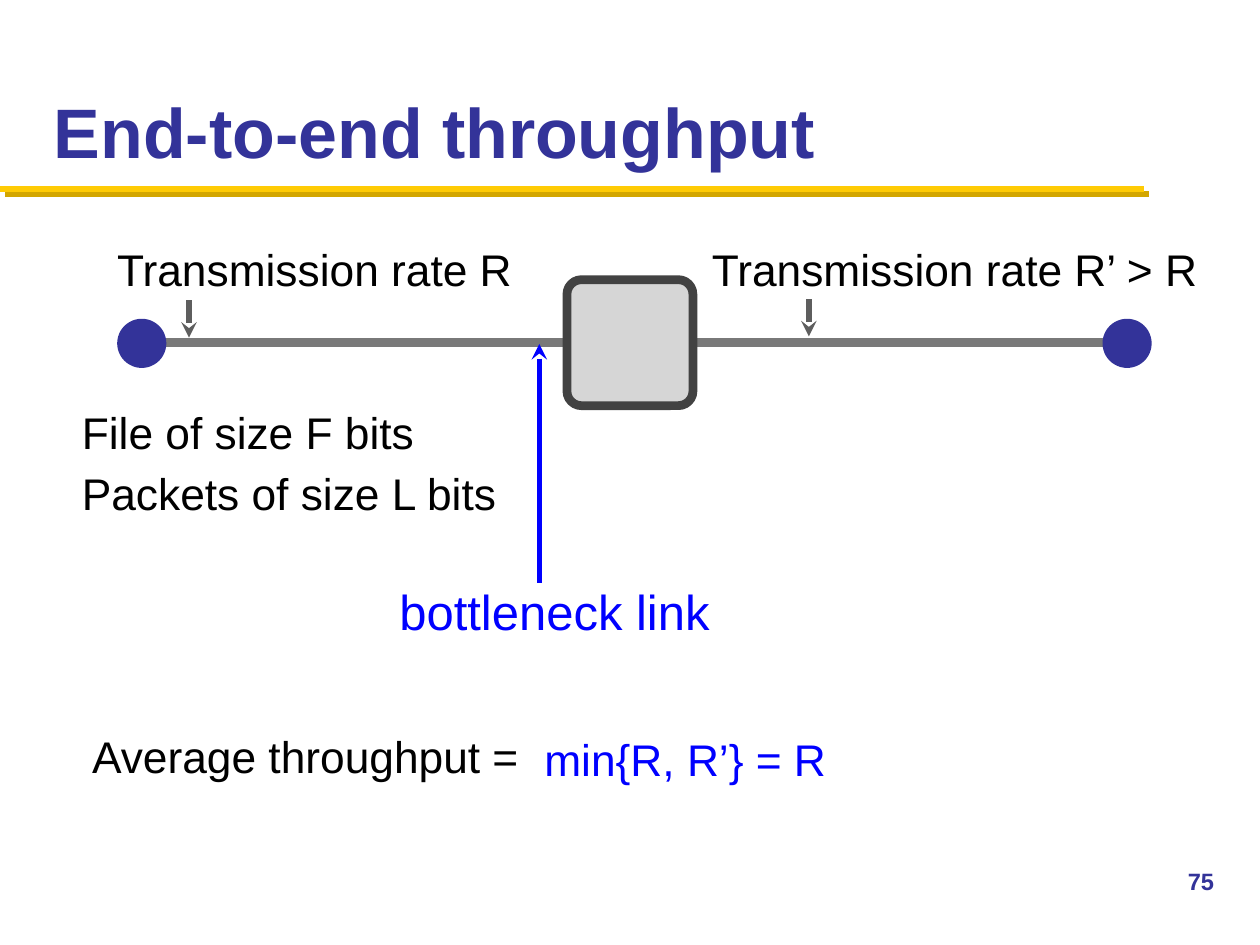
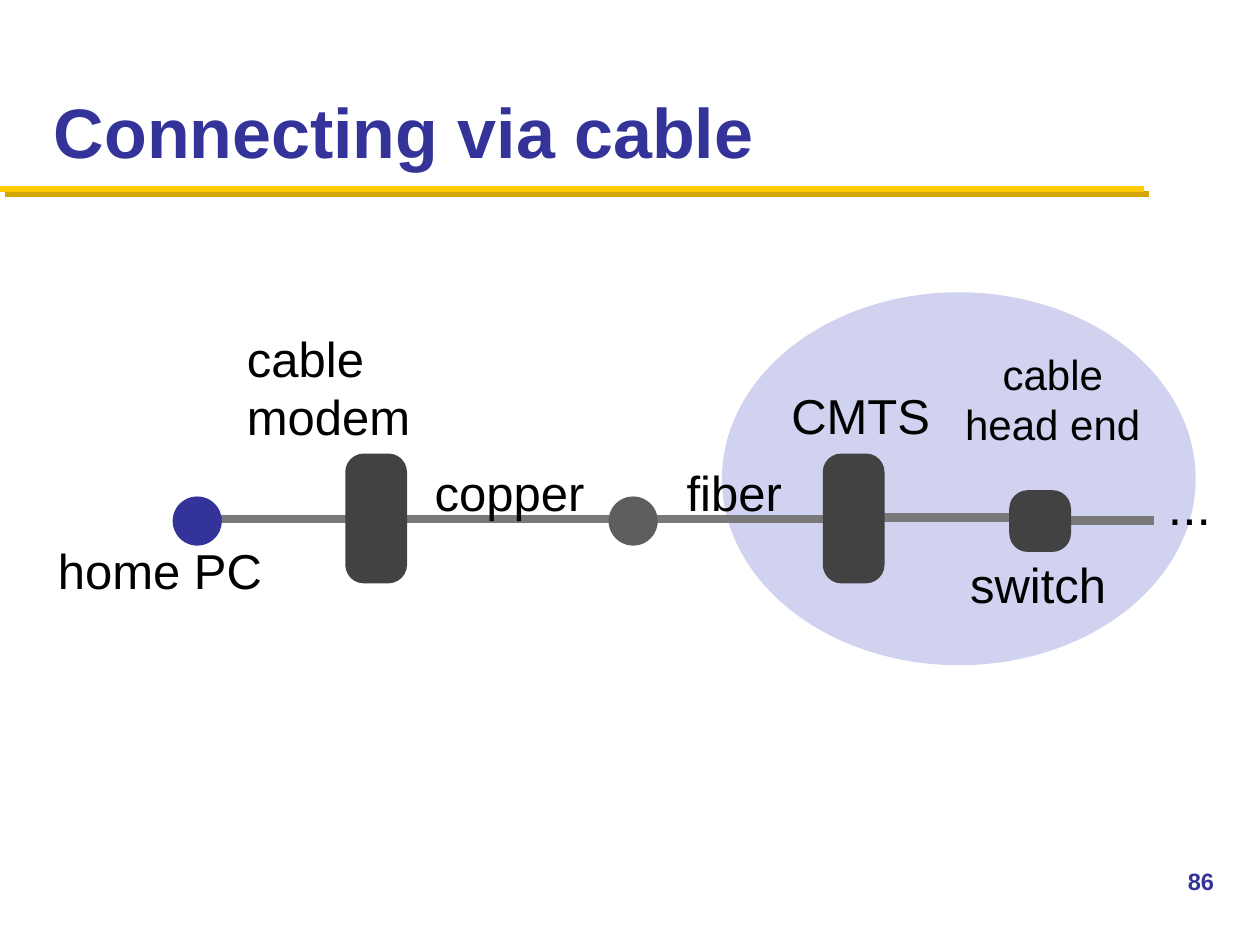
from lxml import etree
from pptx import Presentation
from pptx.dml.color import RGBColor
from pptx.enum.shapes import MSO_CONNECTOR, MSO_SHAPE
from pptx.enum.text import MSO_ANCHOR, PP_ALIGN
from pptx.oxml import parse_xml
from pptx.oxml.ns import nsdecls, qn
from pptx.util import Inches, Pt

# Shared colours and font
NAVY = RGBColor(0x33, 0x33, 0x99)
GOLD = RGBColor(0xFF, 0xCB, 0x05)
LILAC = RGBColor(0xD1, 0xD1, 0xF0)
BLUE = RGBColor(0x00, 0x00, 0xFF)
BLACK = RGBColor(0x00, 0x00, 0x00)
DARK = RGBColor(0x42, 0x42, 0x42)
GREY = RGBColor(0x5E, 0x5E, 0x5E)
WIRE = RGBColor(0x79, 0x79, 0x79)
PALE = RGBColor(0xD6, 0xD6, 0xD6)
FONT = "Arial"
DOT = 0.39

# Throughput slide: left, top, width, height, words, size, colour
RATES = [
    (0.89, 1.88, 3.27, 0.5, "Transmission rate R", 25.3, BLACK),
    (5.61, 1.88, 4.22, 0.5, "Transmission rate R’ > R", 25.3, BLACK),
    (0.61, 3.18, 3.34, 0.5, "File of size F bits", 25.3, BLACK),
    (0.61, 3.66, 3.73, 0.5, "Packets of size L bits", 25.3, BLACK),
    (0.69, 5.75, 4.89, 0.5, "Average throughput =", 25.3, BLACK),
    (4.28, 5.77, 2.39, 0.5, "min{R, R’} = R", 25.3, BLUE),
    (3.13, 4.56, 4.5, 0.58, "bottleneck link", 28, BLUE),
]
# Arrows: x, tip, tail, colour
ARROWS = [(1.5, 2.68, 2.38, GREY), (6.42, 2.67, 2.37, GREY),
          (4.28, 2.73, 4.63, BLUE)]

# Cable slide: labels that wrap, then labels on one line
WRAPPED = [
    (0.42, 4.25, 2.29, 0.55, "home PC", 28, BLACK),
    (1.92, 2.56, 2.21, 1.02, "cable modem", 28, BLACK),
]
HEAD = (7.55, 2.72, 1.61, 0.89, "cable head end", 24, BLACK)
SINGLE = [
    (7.66, 4.36, 1.17, 0.55, "switch", 28, BLACK),
    (6.24, 3.02, 1.19, 0.55, "CMTS", 28, BLACK),
    (3.41, 3.63, 1.28, 0.55, "copper", 28, BLACK),
    (5.41, 3.63, 0.84, 0.55, "fiber", 28, BLACK),
    (9.23, 3.72, 0.43, 0.58, "...", 29.5, BLACK),
]
# Wires: start, end, height on the slide
WIRES = [(1.58, 2.97, 4.12), (3.15, 5, 4.12), (5.02, 6.87, 4.12),
         (6.94, 8.33, 4.11), (8.41, 9.16, 4.13)]
# Modem, CMTS and switch
BOXES = [(2.74, 3.6, 0.49, 1.03), (6.53, 3.6, 0.49, 1.03),
         (8.01, 3.89, 0.49, 0.49)]


def write(slide, left, top, wide, high, words, size, color, bold=False,
          anchor=MSO_ANCHOR.MIDDLE, align=PP_ALIGN.LEFT, wrap=True,
          inset=(0.04, 0.04)):
    box = slide.shapes.add_textbox(*map(Inches, (left, top, wide, high)))
    frame = box.text_frame
    frame.word_wrap = wrap
    frame.vertical_anchor = anchor
    frame.margin_left = frame.margin_right = Inches(inset[0])
    frame.margin_top = frame.margin_bottom = Inches(inset[1])
    para = frame.paragraphs[0]
    para.alignment = align
    run = para.add_run()
    run.text = words
    font = run.font
    font.name, font.size, font.bold = FONT, Pt(size), bold
    font.color.rgb = color


def draw(slide, kind, left, top, wide, high, fill, edge=None, round_=None):
    shape = slide.shapes.add_shape(
        kind, *map(Inches, (left, top, wide, high)))
    shape.shadow.inherit = False
    shape.fill.solid()
    shape.fill.fore_color.rgb = fill
    if edge is None:
        shape.line.fill.background()
    else:
        shape.line.color.rgb = edge
        shape.line.width = Pt(5)
    if round_ is not None:
        shape.adjustments[0] = round_


def link(slide, x1, y1, x2, y2, color, width, arrow=False):
    line = slide.shapes.add_connector(
        MSO_CONNECTOR.STRAIGHT, *map(Inches, (x1, y1, x2, y2)))
    line.line.color.rgb = color
    line.line.width = Pt(width)
    if arrow:
        etree.SubElement(line.line._get_or_add_ln(), qn("a:headEnd"),
                         type="stealth")
    props = line._element.spPr
    return etree.SubElement(props, qn("a:effectLst"))


def start(deck, title, page):
    slide = deck.slides.add_slide(deck.slide_layouts[6])
    # Gold rule with a darker offset shadow
    glow = link(slide, 0, 1.5, 9.08, 1.5, GOLD, 3.5)
    glow.append(parse_xml(
        f'<a:outerShdw {nsdecls("a")} blurRad="0" dist="{Pt(4.2)}" '
        'dir="2700000" algn="ctr" rotWithShape="0">'
        '<a:srgbClr val="D3A600"/></a:outerShdw>'))
    write(slide, 0.33, 0.17, 9.33, 1.25, title, 40, NAVY, bold=True,
          anchor=MSO_ANCHOR.BOTTOM, inset=(0.1, 0.05))
    write(slide, 9.33, 6.83, 0.67, 0.5, page, 13.5, NAVY, bold=True,
          anchor=MSO_ANCHOR.TOP, inset=(0.1, 0.05))
    return slide


def rates(deck):
    slide = start(deck, "End-to-end throughput", "75")
    # Path between the two hosts, through the router
    link(slide, 1.18, 2.72, 8.98, 2.72, WIRE, 5)
    for left in (0.93, 8.75):
        draw(slide, MSO_SHAPE.OVAL, left, 2.53, DOT, DOT, NAVY)
    draw(slide, MSO_SHAPE.ROUNDED_RECTANGLE, 4.5, 2.22, 1, 1, PALE, DARK,
         0.115)
    for label in RATES:
        write(slide, *label)
    for x, tip, tail, color in ARROWS:
        link(slide, x, tip, x, tail, color, 3, arrow=True)


def cable(deck):
    slide = start(deck, "Connecting via cable", "86")
    # Head end area, then wires and nodes
    draw(slide, MSO_SHAPE.OVAL, 5.73, 2.32, 3.76, 2.96, LILAC)
    for x1, x2, y in WIRES:
        link(slide, x1, y, x2, y, WIRE, 5)
    for left, color in ((1.37, NAVY), (4.83, GREY)):
        draw(slide, MSO_SHAPE.OVAL, left, 3.94, DOT, DOT, color)
    for box in BOXES:
        draw(slide, MSO_SHAPE.ROUNDED_RECTANGLE, *box, DARK, round_=0.3)
    # Labels
    for label in WRAPPED:
        write(slide, *label)
    write(slide, *HEAD, align=PP_ALIGN.CENTER)
    for label in SINGLE:
        write(slide, *label, wrap=False)


def main():
    deck = Presentation()
    deck.slide_width, deck.slide_height = Inches(10), Inches(7.5)
    rates(deck)
    cable(deck)
    deck.save("out.pptx")


if __name__ == "__main__":
    main()
